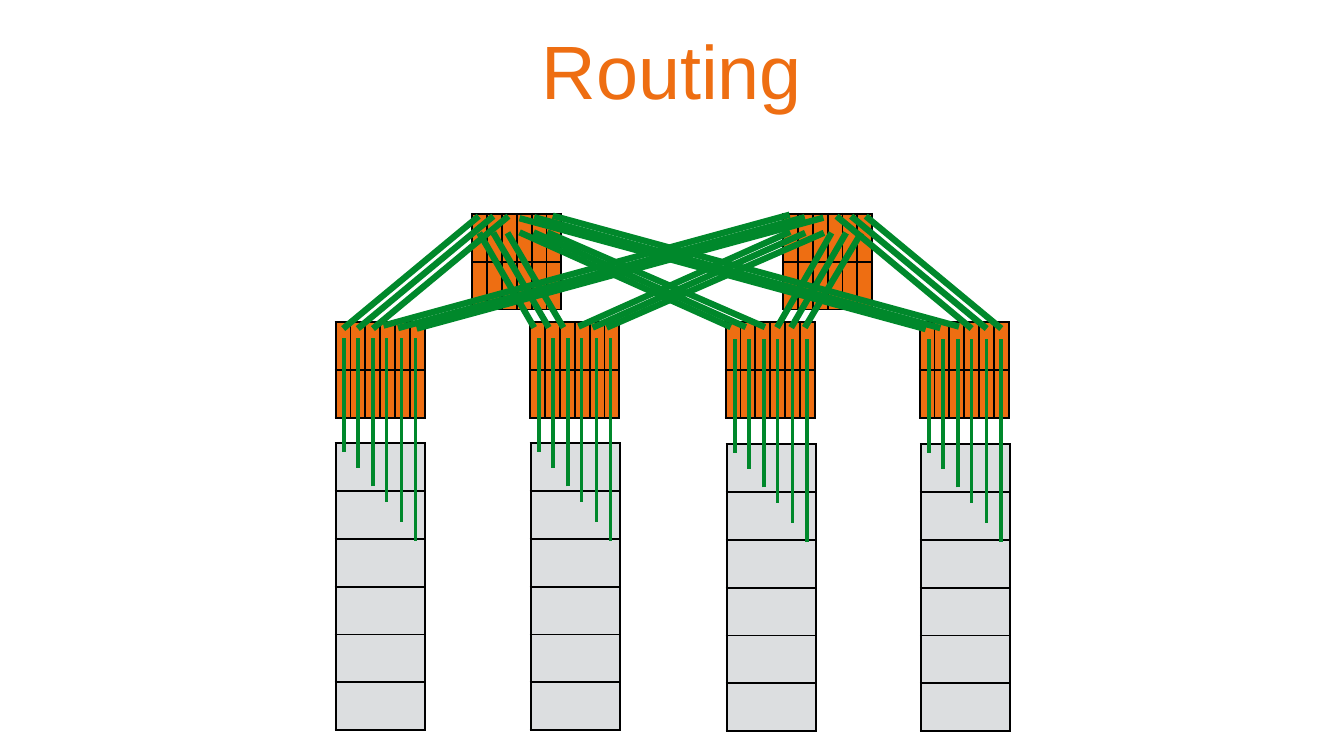
from collections import namedtuple
from dataclasses import dataclass

from lxml import etree
from pptx import Presentation
from pptx.dml.color import RGBColor
from pptx.enum.shapes import MSO_CONNECTOR
from pptx.enum.text import MSO_ANCHOR, MSO_AUTO_SIZE, PP_ALIGN
from pptx.oxml.ns import qn
from pptx.util import Emu, Pt

STRAIGHT = MSO_CONNECTOR.STRAIGHT
MIDDLE = MSO_ANCHOR.MIDDLE
CENTER = PP_ALIGN.CENTER
NO_FIT = MSO_AUTO_SIZE.NONE
TITLE_ONLY = 5
PX = 9144  # 100 px to the inch

Box = namedtuple("Box", "x y w h")
Bundle = namedtuple("Bundle", "leaf spine leaf_xs spine_xs leaf_ys rise")


@dataclass(frozen=True)
class Theme:
    orange: str = "EE6E12"
    grey: str = "DCDEE0"
    green: str = "00882B"
    black: str = "000000"
    font: str = "Arial"
    title_size: int = 108
    border: int = 3
    link: int = 9
    uplink: int = 5


THEME = Theme()

SPINES = [Box(x, 424, 177, 190) for x in (937, 1554)]
LEAVES = [Box(x, 639, 177, 190) for x in (666, 1052, 1440, 1825)]
HOSTS = [Box(x, y, 177, 570)
         for x, y in ((666, 879), (1053, 879), (1442, 881), (1827, 881))]

# Three links per leaf and spine; x and y are measured from each switch's corner
BUNDLES = [
    Bundle(0, 0, (15, 44, 74), (13, 42, 72), (13, 13, 13), 223),
    Bundle(0, 1, (95, 124, 161), (13, 43, 80), (7, 12, 13), 220),
    Bundle(3, 1, (103, 133, 162), (106, 135, 164), (13, 13, 13), 223),
    Bundle(3, 0, (12, 41, 78), (94, 123, 160), (14, 12, 9), 220),
    Bundle(1, 0, (8, 37, 66), (14, 42, 70), (11, 11, 11), 188),
    Bundle(2, 1, (102, 130, 157), (96, 125, 155), (11, 11, 11), 188),
    Bundle(1, 1, (96, 124, 152), (14, 44, 81), (9, 11, 11), 188),
    Bundle(2, 0, (10, 40, 78), (94, 122, 149), (10, 10, 10), 188),
]
UPLINK_XS = (17, 44, 74, 101, 131, 159)
UPLINK_DEPTHS = (17, 49, 86, 117, 156, 194)
UPLINK_RISE = 208


def px(n):
    return Emu(n * PX)


def rgb(value):
    return RGBColor.from_string(value)


def add_title(s, box, text):
    sp = s.shapes.title
    sp.left, sp.top, sp.width, sp.height = map(px, box)
    tf = sp.text_frame
    settings = {"vertical_anchor": MIDDLE, "word_wrap": True, "auto_size": NO_FIT}
    settings.update({f"margin_{side}": px(8)
                     for side in ("left", "top", "right", "bottom")})
    for name, value in settings.items():
        setattr(tf, name, value)
    p = tf.paragraphs[0]
    p.alignment = CENTER
    r = p.add_run()
    r.text = text
    for name, value in {"name": THEME.font, "size": Pt(THEME.title_size)}.items():
        setattr(r.font, name, value)
    r.font.color.rgb = rgb(THEME.orange)


def set_borders(cell):
    tc_pr = cell._tc.get_or_add_tcPr()
    for side in ("lnL", "lnR", "lnT", "lnB"):
        ln = etree.SubElement(tc_pr, qn(f"a:{side}"), w=str(Pt(THEME.border)))
        fill = etree.SubElement(ln, qn("a:solidFill"))
        etree.SubElement(fill, qn("a:srgbClr"), val=THEME.black)


def add_grid(s, box, rows, cols, color):
    """Draw an empty bordered table whose rows and columns are equal."""
    table = s.shapes.add_table(rows, cols, *map(px, box)).table
    table.first_row = table.horz_banding = False
    for col in table.columns:
        col.width = Emu(px(box.w) // cols)
    for row in table.rows:
        row.height = Emu(px(box.h) // rows)
    for cell in table.iter_cells():
        for side in ("left", "top", "right", "bottom"):
            setattr(cell, f"margin_{side}", 0)
        set_borders(cell)
        cell.fill.solid()
        cell.fill.fore_color.rgb = rgb(color)


def add_line(s, x1, y1, x2, y2, width):
    line = s.shapes.add_connector(STRAIGHT, px(x1), px(y1), px(x2), px(y2))
    line.line.color.rgb = rgb(THEME.green)
    line.line.width = Pt(width)
    etree.SubElement(line._element.spPr, qn("a:effectLst"))


def add_bundle(s, leaf, spine, bundle):
    for x1, x2, y in zip(bundle.leaf_xs, bundle.spine_xs, bundle.leaf_ys):
        start = leaf.y + y
        add_line(s, leaf.x + x1, start, spine.x + x2, start - bundle.rise, THEME.link)


def add_uplinks(s, host):
    for x, depth in zip(UPLINK_XS, UPLINK_DEPTHS):
        add_line(s, host.x + x, host.y + depth,
                 host.x + x, host.y - UPLINK_RISE, THEME.uplink)


def main():
    prs = Presentation()
    prs.slide_width, prs.slide_height = px(2667), px(1500)
    s = prs.slides.add_slide(prs.slide_layouts[TITLE_ONLY])
    add_title(s, Box(333, 0, 2000, 273), "Routing")
    for switch in SPINES + LEAVES:
        add_grid(s, switch, 2, 6, THEME.orange)
    for host in HOSTS:
        add_grid(s, host, 6, 1, THEME.grey)
    for host in HOSTS:
        add_uplinks(s, host)
    for bundle in BUNDLES:
        add_bundle(s, LEAVES[bundle.leaf], SPINES[bundle.spine], bundle)
    prs.save("out.pptx")


if __name__ == "__main__":
    main()
